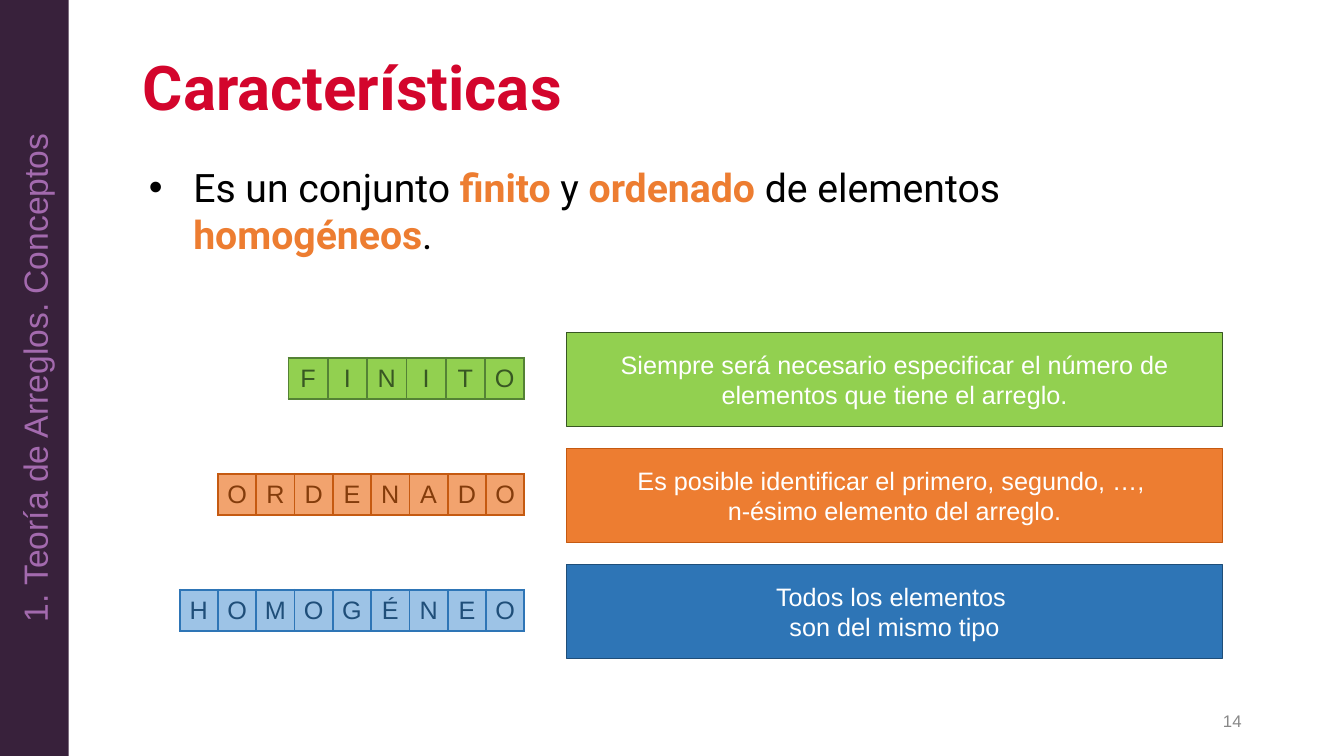
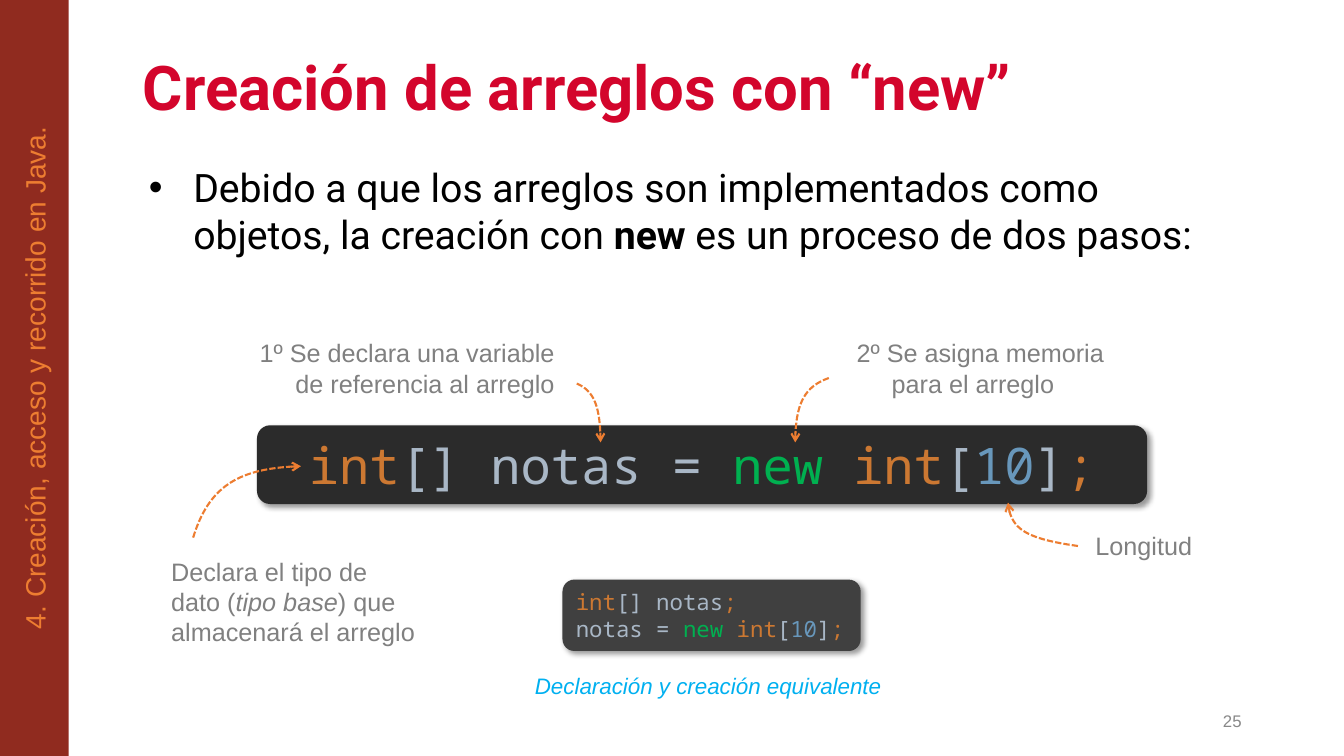
from dataclasses import dataclass, field
from typing import Any, Optional

from lxml.etree import SubElement
from pptx import Presentation
from pptx.dml.color import RGBColor
from pptx.enum.dml import MSO_LINE
from pptx.enum.shapes import MSO_SHAPE
from pptx.enum.text import MSO_ANCHOR, PP_ALIGN
from pptx.oxml.ns import qn
from pptx.util import Pt

RED = RGBColor(0xD3, 0x05, 0x2C)
BLACK = RGBColor(0, 0, 0)
WHITE = RGBColor(0xFF, 0xFF, 0xFF)
GRAY = RGBColor(0x80, 0x80, 0x80)
NUMBER_GRAY = RGBColor(0x88, 0x88, 0x88)
ORANGE = RGBColor(0xED, 0x7D, 0x31)
DARK_ORANGE = RGBColor(0xC5, 0x5A, 0x11)
BROWN = RGBColor(0x84, 0x3C, 0x0B)
PEACH = RGBColor(0xF2, 0xA3, 0x6E)
GREEN = RGBColor(0x92, 0xD0, 0x50)
MID_GREEN = RGBColor(0x54, 0x82, 0x35)
DARK_GREEN = RGBColor(0x38, 0x57, 0x23)
BLUE = RGBColor(0x2E, 0x75, 0xB6)
NAVY = RGBColor(0x1F, 0x4E, 0x79)
PALE_BLUE = RGBColor(0x9D, 0xC3, 0xE6)
CYAN = RGBColor(0x00, 0xB0, 0xF0)
PURPLE = RGBColor(0x38, 0x21, 0x3B)
LILAC = RGBColor(0xA3, 0x6A, 0xAE)
BRICK = RGBColor(0x90, 0x2B, 0x1F)
EDITOR = RGBColor(0x2B, 0x2B, 0x2B)
EDITOR_LIGHT = RGBColor(0x40, 0x40, 0x40)
KEYWORD = RGBColor(0xCC, 0x78, 0x32)
PLAIN = RGBColor(0xA9, 0xB7, 0xC6)
OPERATOR = RGBColor(0x00, 0xB0, 0x50)
NUMBER = RGBColor(0x68, 0x97, 0xBB)

CENTER = {"alignment": PP_ALIGN.CENTER}
RIGHT = {"alignment": PP_ALIGN.RIGHT}
MIDDLE = {"vertical_anchor": MSO_ANCHOR.MIDDLE}


@dataclass(frozen=True)
class Frame:
    left: float
    top: float
    width: float
    height: float

    def lengths(self) -> list[Pt]:
        return [Pt(value) for value in (self.left, self.top, self.width, self.height)]


@dataclass(frozen=True)
class Style:
    name: str
    size: float
    color: RGBColor
    bold: bool = False


@dataclass(frozen=True)
class Span:
    text: str
    color: Optional[RGBColor] = None
    formats: dict[str, Any] = field(default_factory=dict)


@dataclass(frozen=True)
class Para:
    spans: list[Span]
    formats: dict[str, Any] = field(default_factory=dict)
    indent: float = 0
    bullet: bool = False


@dataclass(frozen=True)
class Trait:
    word: str
    cell_width: float
    cell_fill: RGBColor
    cell_border: RGBColor
    letter_color: RGBColor
    description: str
    fill: RGBColor
    border: RGBColor


@dataclass(frozen=True)
class Callout:
    frame: Frame
    paras: list[Para]


TITLE = Style("Roboto", 44, RED, True)
BODY = Style("Roboto", 28, BLACK)
PAGE_NUMBER = Style("Arial", 12, NUMBER_GRAY)
NOTE = Style("Arial", 18, GRAY)

TRAITS = [
    Trait("FINITO", 28.08, GREEN, MID_GREEN, DARK_GREEN,
          "Siempre será necesario especificar el número de elementos que tiene el arreglo.",
          GREEN, DARK_GREEN),
    Trait("ORDENADO", 27.36, PEACH, DARK_ORANGE, BROWN,
          "Es posible identificar el primero, segundo, …, \nn-ésimo elemento del arreglo.",
          ORANGE, DARK_ORANGE),
    Trait("HOMOGÉNEO", 27.36, PALE_BLUE, BLUE, NAVY,
          "Todos los elementos \nson del mismo tipo", BLUE, NAVY),
]
TRAITS_TOP, TRAITS_STEP = 237.6, 82.8
WORDS_RIGHT, WORD_OFFSET, CELL_HEIGHT = 374.6, 18, 29.5

ALLOCATION = [Span("new", OPERATOR), Span(" int", KEYWORD), Span("[", PLAIN),
              Span("10", NUMBER), Span("]", PLAIN), Span(";", KEYWORD)]

CALLOUTS = [
    Callout(Frame(115.2, 393.8, 190, 72.7), [Para([
        Span("Declara el tipo de dato ("), Span("tipo base", formats={"italic": True}),
        Span(") que almacenará el arreglo")])]),
    Callout(Frame(169.2, 237.6, 234, 51),
            [Para([Span("1º Se declara una variable de referencia al arreglo")], RIGHT)]),
    Callout(Frame(604.8, 237.6, 215.3, 51), [
        Para([Span("2º Se asigna memoria")]), Para([Span("para el arreglo")], indent=25)]),
    Callout(Frame(775.4, 375.2, 113, 29), [Para([Span("Longitud")])]),
]

ARROWS = [
    [(138.2, 384.5), (149, 348.5), (172.1, 334.1), (214.6, 333.4)],
    [(769.7, 389.5), (734.4, 385.2), (720.7, 375.8), (720, 358.6)],
    [(411.8, 273.6), (424.1, 279.4), (429.1, 292.3), (429.1, 316.1)],
    [(591.8, 270), (574.6, 276.5), (568.1, 290.2), (568.1, 316.1)],
]


def apply_formats(target: Any, formats: dict[str, Any]) -> None:
    for name, value in formats.items():
        setattr(target, name, value)


def add_bullet(paragraph: Any) -> None:
    properties = paragraph._p.get_or_add_pPr()
    properties.set("marL", str(Pt(36)))
    properties.set("indent", str(Pt(-31.7)))
    color = SubElement(properties, qn("a:buClr"))
    SubElement(color, qn("a:srgbClr"), val=str(BLACK))
    SubElement(properties, qn("a:buFont"), typeface="Arial")
    SubElement(properties, qn("a:buChar"), char="•")


def write_text(text_frame: Any, paras: list[Para], style: Style) -> None:
    for index, para in enumerate(paras):
        paragraph = text_frame.add_paragraph() if index else text_frame.paragraphs[0]
        if para.bullet:
            add_bullet(paragraph)
        elif para.indent:
            paragraph._p.get_or_add_pPr().set("marL", str(Pt(para.indent)))
        apply_formats(paragraph, {"alignment": PP_ALIGN.LEFT} | para.formats)
        for span in para.spans:
            for line_index, line in enumerate(span.text.split("\n")):
                if line_index:
                    paragraph.add_line_break()
                run = paragraph.add_run()
                run.text = line
                apply_formats(run.font, {"name": style.name, "size": Pt(style.size),
                                         "bold": style.bold} | span.formats)
                run.font.color.rgb = span.color or style.color


def add_text(page: Any, frame: Frame, paras: list[Para], style: Style,
             formats: Optional[dict[str, Any]] = None) -> None:
    box = page.shapes.add_textbox(*frame.lengths())
    apply_formats(box.text_frame, {"word_wrap": True} | (formats or {}))
    write_text(box.text_frame, paras, style)


def add_panel(page: Any, kind: MSO_SHAPE, frame: Frame, fill: RGBColor, paras: list[Para],
              style: Style, border: Optional[RGBColor] = None, wrap: bool = True) -> Any:
    panel = page.shapes.add_shape(kind, *frame.lengths())
    panel.shadow.inherit = False
    panel.fill.solid()
    panel.fill.fore_color.rgb = fill
    if border is None:
        panel.line.fill.background()
    else:
        panel.line.color.rgb = border
        panel.line.width = Pt(1)
    apply_formats(panel.text_frame, MIDDLE | {"word_wrap": wrap})
    write_text(panel.text_frame, paras, style)
    return panel


def add_code(page: Any, frame: Frame, fill: RGBColor, paras: list[Para], size: float,
             wrap: bool = True) -> None:
    panel = add_panel(page, MSO_SHAPE.ROUNDED_RECTANGLE, frame, fill, paras,
                      Style("Noto Sans Mono", size, PLAIN), wrap=wrap)
    effects = panel._element.spPr.find(qn("a:effectLst"))
    shadow = SubElement(effects, qn("a:outerShdw"), blurRad=str(Pt(4)), dist=str(Pt(3)),
                        dir="2700000", algn="tl", rotWithShape="0")
    color = SubElement(shadow, qn("a:srgbClr"), val=str(BLACK))
    SubElement(color, qn("a:alpha"), val="40000")


def add_arrow(page: Any, points: list[tuple[float, float]]) -> None:
    builder = page.shapes.build_freeform(*points[0], scale=float(Pt(1)))
    builder.add_line_segments(points[1:], close=False)
    arrow = builder.convert_to_shape()
    outline = arrow._element.spPr.find(".//" + qn("a:path"))
    segments = outline.findall(qn("a:lnTo"))
    curve = SubElement(outline, qn("a:cubicBezTo"))
    for segment in segments:
        curve.append(segment[0])
        outline.remove(segment)
    arrow.shadow.inherit = False
    arrow.fill.background()
    arrow.line.color.rgb = ORANGE
    apply_formats(arrow.line, {"width": Pt(1.5), "dash_style": MSO_LINE.SQUARE_DOT})
    SubElement(arrow.line._get_or_add_ln(), qn("a:tailEnd"), type="arrow")


def add_word(page: Any, trait: Trait, top: float) -> None:
    width = trait.cell_width * len(trait.word)
    frame = Frame(WORDS_RIGHT - width, top, width, CELL_HEIGHT)
    table = page.shapes.add_table(1, len(trait.word), *frame.lengths()).table
    apply_formats(table, {"first_row": False, "horz_banding": False})
    for column, letter in enumerate(trait.word):
        table.columns[column].width = Pt(trait.cell_width)
        cell = table.cell(0, column)
        apply_formats(cell, MIDDLE | {"margin_left": 0, "margin_right": 0})
        properties = cell._tc.get_or_add_tcPr()
        for side in ("L", "R", "T", "B"):
            border = SubElement(properties, qn(f"a:ln{side}"), w=str(Pt(1.5)))
            solid = SubElement(border, qn("a:solidFill"))
            SubElement(solid, qn("a:srgbClr"), val=str(trait.cell_border))
        cell.fill.solid()
        cell.fill.fore_color.rgb = trait.cell_fill
        write_text(cell.text_frame, [Para([Span(letter)], CENTER)],
                   Style("Arial", 18, trait.letter_color))


def add_page(deck: Any, title: str, number: int, body: list[Span], section: str,
             band_fill: RGBColor, section_style: Style) -> Any:
    page = deck.slides.add_slide(deck.slide_layouts[6])
    add_text(page, Frame(95, 34, 799, 62), [Para([Span(title)], {"line_spacing": 0.9})],
             TITLE, MIDDLE)
    add_text(page, Frame(678, 500.5, 216, 28.8), [Para([Span(str(number))], RIGHT)],
             PAGE_NUMBER, MIDDLE)
    add_text(page, Frame(95, 113, 799, 376.6), [Para(body, bullet=True)], BODY)
    band = add_panel(page, MSO_SHAPE.RECTANGLE, Frame(0, 0, 49, 540), band_fill,
                     [Para([Span(section)], CENTER)], section_style)
    band.text_frame._txBody.bodyPr.set("vert", "vert270")
    return page


def add_traits_page(deck: Any) -> None:
    strong = {"bold": True}
    body = [Span("Es un conjunto "), Span("finito", ORANGE, strong), Span(" y "),
            Span("ordenado", ORANGE, strong), Span(" de elementos "),
            Span("homogéneos", ORANGE, strong), Span(".")]
    page = add_page(deck, "Características", 14, body, "1. Teoría de Arreglos. Conceptos",
                    PURPLE, Style("Arial", 24, LILAC))
    for index, trait in enumerate(TRAITS):
        top = TRAITS_TOP + index * TRAITS_STEP
        add_word(page, trait, top + WORD_OFFSET)
        add_panel(page, MSO_SHAPE.RECTANGLE, Frame(404.6, top, 468.7, 67), trait.fill,
                  [Para([Span(trait.description)], CENTER)], Style("Arial", 18, WHITE),
                  trait.border)


def add_creation_page(deck: Any) -> None:
    body = [Span("Debido a que los arreglos son implementados como objetos, la creación con "),
            Span("new", formats={"bold": True}), Span(" es un proceso de dos pasos:")]
    page = add_page(deck, "Creación de arreglos con “new”", 25, body,
                    "4. Creación, acceso y recorrido en Java.", BRICK,
                    Style("Arial", 20, ORANGE))
    add_code(page, Frame(183.6, 303.8, 635.8, 56.2), EDITOR,
             [Para([Span("int", KEYWORD), Span("[] notas = "), *ALLOCATION], CENTER)], 36)
    add_code(page, Frame(401.8, 414, 213, 51), EDITOR_LIGHT,
             [Para([Span("int", KEYWORD), Span("[] notas"), Span(";", KEYWORD)]),
              Para([Span("notas = "), *ALLOCATION])], 16, wrap=False)
    for callout in CALLOUTS:
        add_text(page, callout.frame, callout.paras, NOTE)
    for points in ARROWS:
        add_arrow(page, points)
    add_text(page, Frame(360, 476.6, 291.6, 26.6),
             [Para([Span("Declaración y creación equivalente", formats={"italic": True})],
                   CENTER)], Style("Arial", 16, CYAN))


def main() -> None:
    deck = Presentation()
    apply_formats(deck, {"slide_width": Pt(960), "slide_height": Pt(540)})
    add_traits_page(deck)
    add_creation_page(deck)
    deck.save("out.pptx")


if __name__ == "__main__":
    main()
